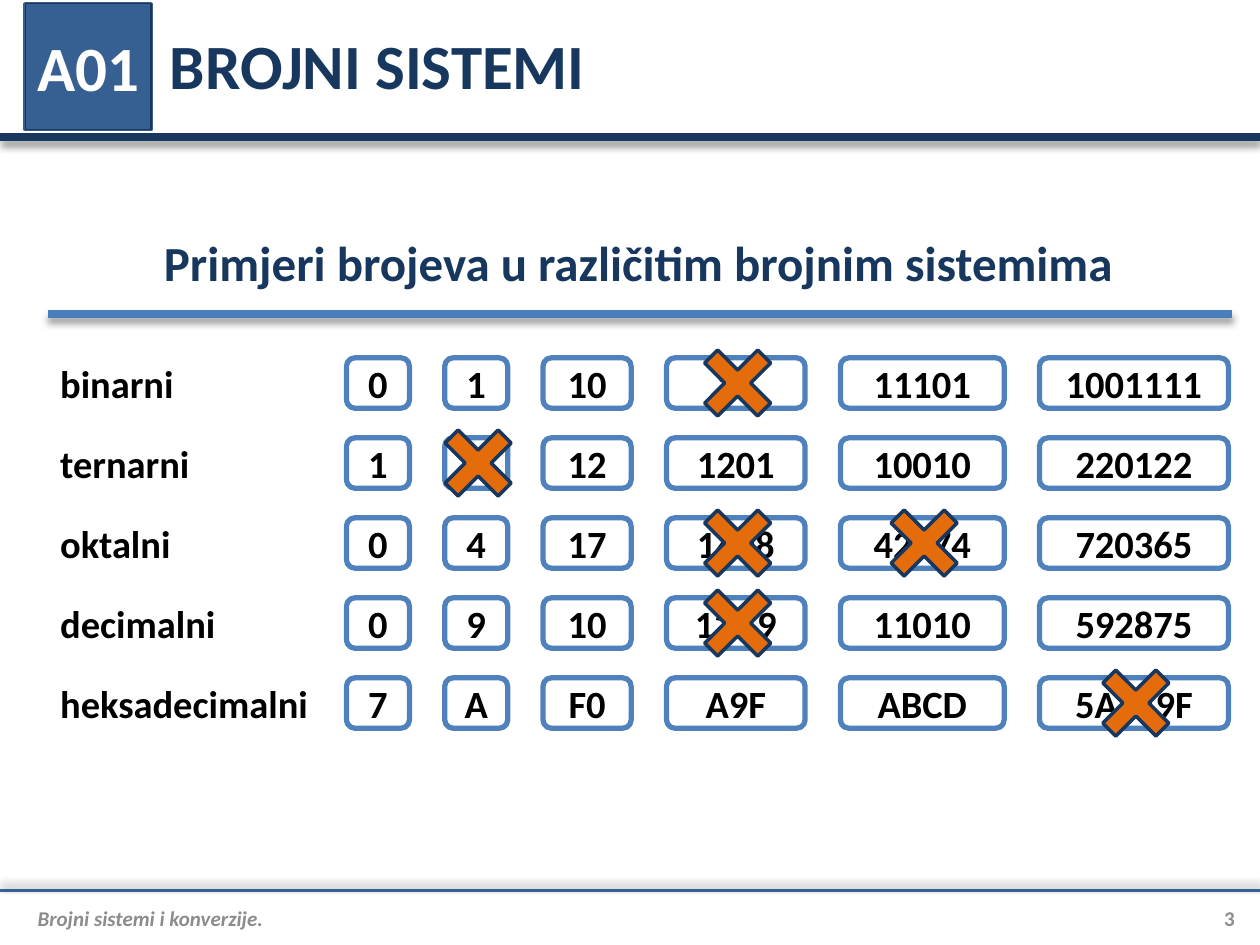
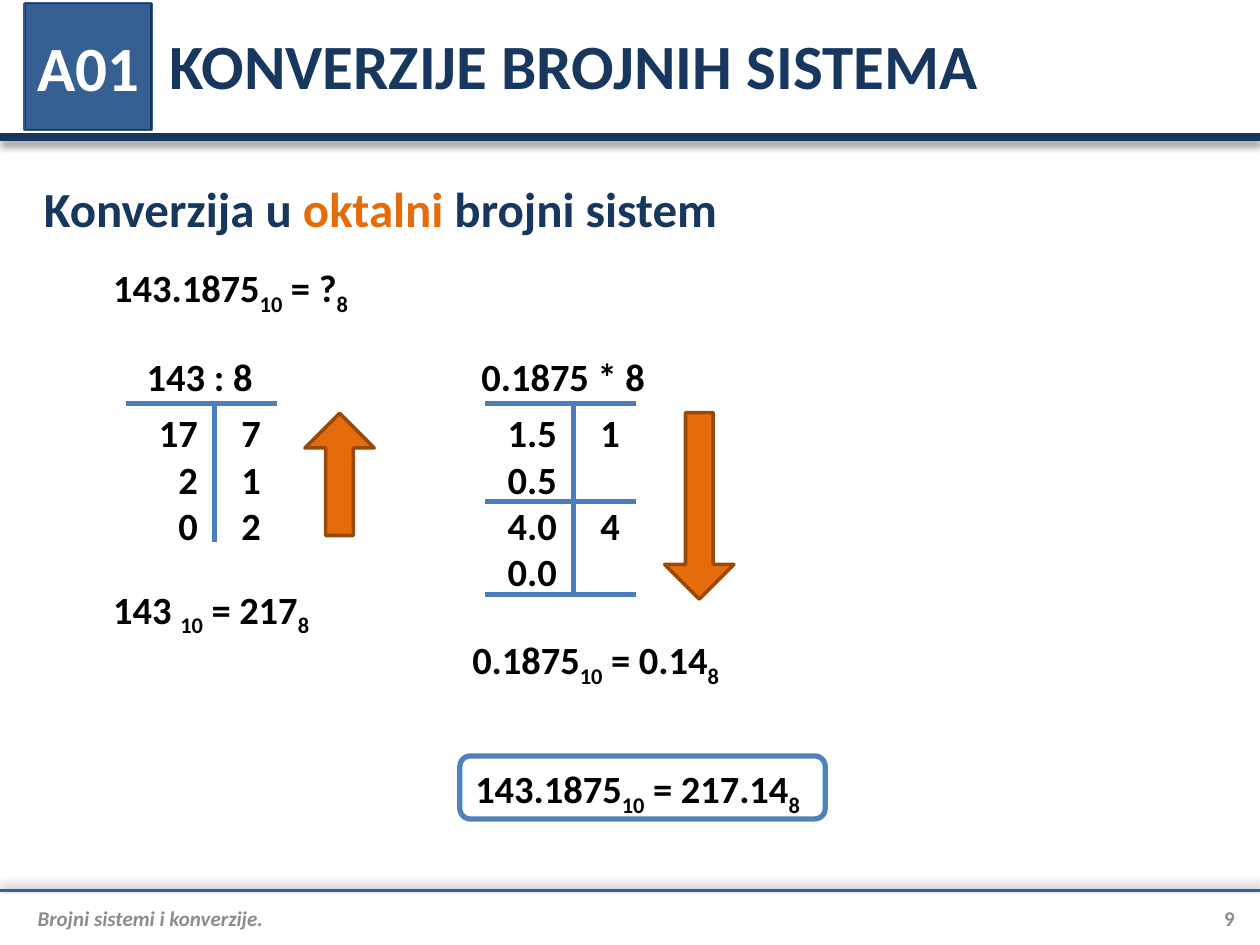
import pptx
import pptx.dml.color
import pptx.enum.shapes
import pptx.enum.text
import pptx.oxml
import pptx.oxml.ns
import pptx.util
from lxml import etree

# Grid: 100 columns by 75 rows, each cell a tenth of an inch
COLS, ROWS = 100, 75
CELL = pptx.util.Inches(0.1)

NAVY, STEEL, BLUE, RULE = "17375E", "376092", "4F81BD", "4B7EBC"
ORANGE, RUST, GREY, BLACK, WHITE = "E46C0A", "984807", "8C8C8C", "000000", "FFFFFF"

KIND = pptx.enum.shapes.MSO_SHAPE
ALIGN = pptx.enum.text.PP_ALIGN
MIDDLE = pptx.enum.text.MSO_ANCHOR.MIDDLE
TOP = pptx.enum.text.MSO_ANCHOR.TOP

# Text styles
BASE = {"name": "Calibri", "bold": True}
TITLE = {"size": 36, "color": NAVY}
HEAD = {"size": 28, "color": NAVY}
BODY = {"size": 22, "color": BLACK}
FOOT = {"size": 12, "color": GREY}
FLAT = dict.fromkeys(
    ["margin_left", "margin_right", "margin_top", "margin_bottom"], 0)

# Example numbers: box widths, rows, and the (row, column) of wrong ones
WIDTHS = [5, 5, 7, 11, 13, 15]
GAP, LEFT, FIRST, PITCH, TALL = 2.8, 27.5, 28.4, 6.35, 4
SYSTEMS = {
    "binarni": ["0", "1", "10", "12", "11101", "1001111"],
    "ternarni": ["1", "3", "12", "1201", "10010", "220122"],
    "oktalni": ["0", "4", "17", "1408", "42974", "720365"],
    "decimalni": ["0", "9", "10", "12A9", "11010", "592875"],
    "heksadecimalni": ["7", "A", "F0", "A9F", "ABCD", "5AZ49F"],
}
WRONG = [(0, 3), (1, 1), (2, 3), (3, 3), (4, 5), (2, 4)]


def hue(code):
    return pptx.dml.color.RGBColor.from_string(code)


def grid(*cells):
    return [round(n * CELL) for n in cells]


def assign(item, values):
    for key, value in values.items():
        setattr(item, key, value)


def add_run(para, text, look, sub=False):
    run = para.add_run()
    run.text = text
    look = {**BASE, **look}
    run.font.color.rgb = hue(look.pop("color"))
    look["size"] = pptx.util.Pt(look["size"])
    assign(run.font, look)
    if sub:
        run._r.get_or_add_rPr().set("baseline", "-25000")


def write(shape, text, look, align=ALIGN.LEFT, anchor=MIDDLE, frame=None):
    """Text between bars is set as a subscript."""
    assign(shape.text_frame, {"word_wrap": True, "vertical_anchor": anchor,
                              **(frame or {})})
    para = shape.text_frame.paragraphs[0]
    para.alignment = align
    for i, part in enumerate(text.split("|")):
        if part:
            add_run(para, part, look, sub=i % 2 == 1)
    return para


def label(slide, at, text, look, **place):
    return write(slide.shapes.add_textbox(*grid(*at)), text, look, **place)


def block(slide, kind, at, fill, line, width, adjust=(), turn=0):
    shape = slide.shapes.add_shape(kind, *grid(*at))
    shape.shadow.inherit = False
    if fill:
        shape.fill.solid()
        shape.fill.fore_color.rgb = hue(fill)
    else:
        shape.fill.background()
    shape.line.color.rgb = hue(line)
    shape.line.width = pptx.util.Pt(width)
    shape.rotation = turn
    for i, value in enumerate(adjust):
        shape.adjustments[i] = value
    return shape


def frame_box(slide, at, fill=None):
    return block(slide, KIND.FLOWCHART_ALTERNATE_PROCESS, at, fill, BLUE, 3)


def rule(slide, ends, color=RULE, width=3, shade=None):
    """Straight line; shade is the direction of its shadow in degrees."""
    line = slide.shapes.add_connector(
        pptx.enum.shapes.MSO_CONNECTOR.STRAIGHT, *grid(*ends))
    line.line.color.rgb = hue(color)
    line.line.width = pptx.util.Pt(width)
    tag = pptx.oxml.ns.qn
    props = line._element.spPr
    effects = etree.SubElement(props, tag("a:effectLst"))
    if shade is not None:
        drop = etree.SubElement(
            effects, tag("a:outerShdw"), blurRad=str(pptx.util.Pt(4)),
            dist=str(pptx.util.Pt(3)), dir=str(shade * 60000), rotWithShape="0")
        tint = etree.SubElement(drop, tag("a:srgbClr"), val=BLACK)
        etree.SubElement(tint, tag("a:alpha"), val="40000")


def ledger(slide, at, rows):
    """Two right-aligned columns of figures on tab stops."""
    box = slide.shapes.add_textbox(*grid(*at))
    assign(box.text_frame, {"word_wrap": True, "margin_left": 0,
                            "margin_right": 0})
    for i, row in enumerate(rows):
        para = (box.text_frame.add_paragraph() if i
                else box.text_frame.paragraphs[0])
        tag = pptx.oxml.ns.qn
        stops = etree.SubElement(para._p.get_or_add_pPr(), tag("a:tabLst"))
        for pos in grid(6.2, 11.2):
            etree.SubElement(stops, tag("a:tab"), pos=str(pos), algn="r")
        add_run(para, "".join("\t" + cell for cell in row), BODY)


def arrow(slide, at, turn):
    block(slide, KIND.RIGHT_ARROW, at, ORANGE, RUST, 2, (0.4, 0.5), turn)


def start(deck, title, number):
    """New slide with header band, badge, title and footer."""
    slide = deck.slides.add_slide(deck.slide_layouts[6])
    rule(slide, (0, 10.9, COLS, 10.9), NAVY, 4.5, shade=90)
    rule(slide, (0, 70.7, COLS, 70.7), STEEL, 1.5, shade=270)
    spot = (2, 0.3, 10, 10)
    block(slide, KIND.RECTANGLE, spot, BLUE, "3A5F8C", 2)
    badge = block(slide, KIND.RECTANGLE, spot, STEEL, NAVY, 0.75)
    write(badge, "A01", {**TITLE, "color": WHITE}, ALIGN.CENTER, frame=FLAT)
    label(slide, (12.5, 0.1, 85.5, 10), title, TITLE)
    label(slide, (2, 71.1, 91, 3.5), "Brojni sistemi i konverzije.",
          {**FOOT, "italic": True}, frame={**FLAT, "margin_left": CELL})
    label(slide, (93, 71.1, 5, 3.5), str(number), FOOT,
          align=ALIGN.RIGHT, frame=FLAT)
    return slide


def samples(deck):
    slide = start(deck, "BROJNI SISTEMI", 3)
    label(slide, (3.8, 18.3, 93.7, 5),
          "Primjeri brojeva u različitim brojnim sistemima", HEAD,
          align=ALIGN.CENTER)
    rule(slide, (3.8, 24.9, 97.8, 24.9), width=4.5, shade=90)

    # Rows of number boxes
    lefts = [LEFT + sum(WIDTHS[:i]) + GAP * i for i in range(len(WIDTHS))]
    for row, (name, values) in enumerate(SYSTEMS.items()):
        top = FIRST + PITCH * row
        label(slide, (3.8, top - 0.5, 22, 5), name, BODY)
        for left, width, value in zip(lefts, WIDTHS, values):
            box = frame_box(slide, (left, top, width, TALL), WHITE)
            write(box, value, BODY, ALIGN.CENTER)

    # Crosses over the wrong numbers
    side = 8.1
    for row, col in WRONG:
        left = lefts[col] + (WIDTHS[col] - side) / 2 + 0.15
        top = FIRST + PITCH * row + (TALL - side) / 2
        block(slide, KIND.MATH_MULTIPLY, (left, top, side, side),
              ORANGE, NAVY, 2, (0.18,))


def convert(deck):
    slide = start(deck, "KONVERZIJE BROJNIH SISTEMA", 9)
    head = label(slide, (2.5, 14, 84.2, 5), "Konverzija u ", HEAD)
    add_run(head, "oktalni ", {**HEAD, "color": ORANGE})
    add_run(head, "brojni sistem", HEAD)
    label(slide, (8, 20.5, 40, 5), "143.1875|10| = ?|8", BODY, anchor=TOP)

    # Whole part: divide by the base
    label(slide, (10, 27.5, 11.7, 5), "143 : 8", BODY,
          align=ALIGN.CENTER, anchor=TOP)
    ledger(slide, (9.5, 32, 14.2, 12.1), [("17", "7"), ("2", "1"), ("0", "2")])
    rule(slide, (10, 32, 22, 32))
    rule(slide, (17, 32, 17, 43))
    arrow(slide, (22.1, 34.9, 9.7, 5.5), 270)
    label(slide, (8, 46, 19.7, 5), "143 |10| = 217|8", BODY, anchor=TOP)

    # Fraction: multiply by the base
    label(slide, (37.1, 27.5, 15.2, 5), "0.1875 * 8", BODY,
          align=ALIGN.CENTER, anchor=TOP)
    ledger(slide, (38, 32, 14.2, 15.8),
           [("1.5", "1"), ("0.5",), ("4.0", "4"), ("0.0",)])
    for top in (32, 39.8, 47.2):
        rule(slide, (38.5, top, 50.5, top))
    rule(slide, (45.5, 32, 45.5, 47))
    arrow(slide, (48.1, 37.4, 14.8, 5.5), 90)
    label(slide, (36.5, 50, 23.3, 5), "0.1875|10| = 0.14|8", BODY, anchor=TOP)

    # Result
    write(frame_box(slide, (36.5, 60, 29, 5)), "143.1875|10| = 217.14|8",
          BODY, anchor=TOP)


def main():
    deck = pptx.Presentation()
    deck.slide_width, deck.slide_height = grid(COLS, ROWS)
    samples(deck)
    convert(deck)
    deck.save("out.pptx")


if __name__ == "__main__":
    main()
